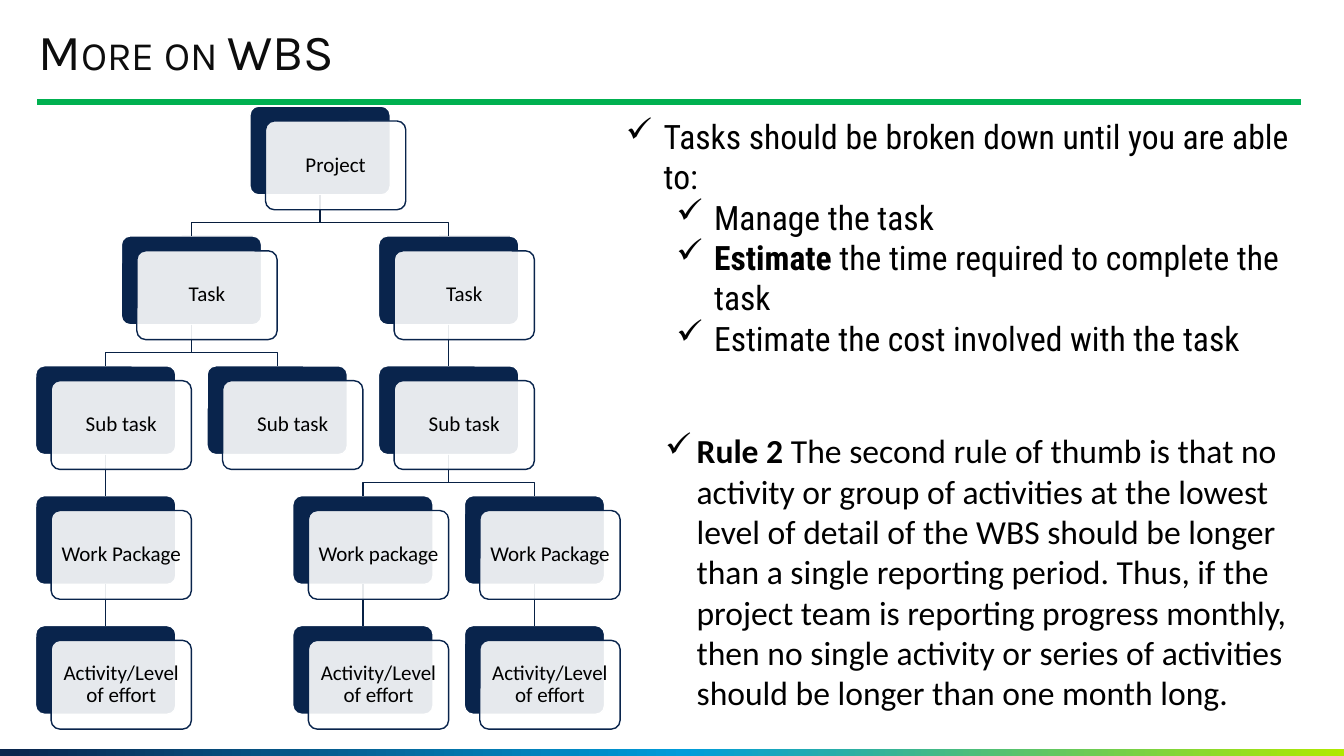
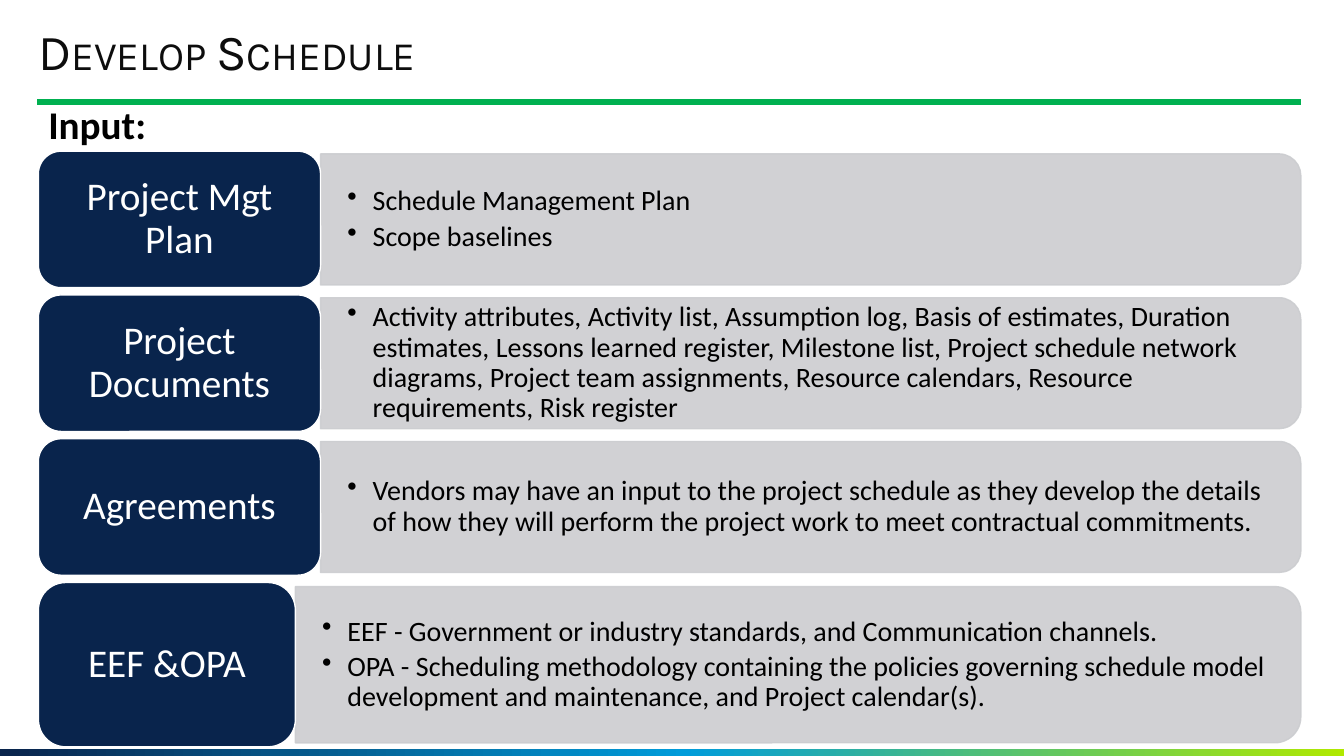
"""Build two project-scheduling slides: a work breakdown structure and schedule inputs."""
from copy import deepcopy
from dataclasses import dataclass

from lxml.etree import SubElement
from pptx import Presentation
from pptx.dml.color import RGBColor
from pptx.enum.shapes import MSO_CONNECTOR as CONN, MSO_SHAPE as SHAPE
from pptx.enum.text import MSO_ANCHOR as ANCHOR, PP_ALIGN as ALIGN
from pptx.oxml.ns import qn
from pptx.util import Pt


@dataclass(frozen=True)
class Theme:
    navy: str = "09244C"
    blue: str = "009CDA"
    lime: str = "B0E900"
    green: str = "00B050"
    grey: str = "CCCDD0"
    white: str = "FFFFFF"
    black: str = "000000"
    title_ink: str = "0D0D0D"
    top_link: str = "071D3D"
    link: str = "082145"
    title_font: str = "Karla"
    body_font: str = "Calibri"
    list_font: str = "Roboto Condensed"
    title: int = 36
    heading: int = 28
    text: int = 24
    detail: int = 20
    node: int = 15


T = Theme()
WIDTH, HEIGHT = 960, 540
LEFT, RIGHT = 27.4, 929.2

NODES = [
    ("Project", 0, 2.5, None),
    ("Task", 1, 1, 0),
    ("Task", 1, 4, 0),
    ("Sub task", 2, 0, 1),
    ("Sub task", 2, 2, 1),
    ("Sub task", 2, 4, 2),
    ("Work Package", 3, 0, 3),
    ("Work package", 3, 3, 5),
    ("Work Package", 3, 5, 5),
    ("Activity/Level of effort", 4, 0, 6),
    ("Activity/Level of effort", 4, 3, 7),
    ("Activity/Level of effort", 4, 5, 8),
]
TREE_X, TREE_Y, COL, ROW = 25.4, 75.8, 61.25, 92.75
BOX_W, BOX_H, SHIFT_X, SHIFT_Y, ELBOW = 100.2, 63.4, 11.1, 10.6, 19.8

TASK_RULES = [
    (0, [("Tasks should be broken down until you are able to:", False)]),
    (1, [("Manage the task", False)]),
    (1, [("Estimate", True), (" the time required to complete the task", False)]),
    (1, [("Estimate the cost involved with the task", False)]),
]
RULE_TWO = [
    (0, [("Rule 2", True),
         (" The second rule of thumb is that no activity or group of activities at the lowest "
          "level of detail of the WBS should be longer than a single reporting period. Thus, if "
          "the project team is reporting progress monthly, then no single activity or series of "
          "activities should be longer than one month long.", False)]),
]

INPUTS = [
    ("Project Mgt Plan", 201.6, 97.5, 93.6, ["Schedule Management Plan", "Scope baselines"]),
    ("Project Documents", 201.6, 97.5, 93.6, [
        "Activity attributes, Activity list, Assumption log, Basis of estimates, Duration "
        "estimates, Lessons learned register, Milestone list, Project schedule network diagrams, "
        "Project team assignments, Resource calendars, Resource requirements, Risk register"]),
    ("Agreements", 201.6, 97.5, 93.6, [
        "Vendors may have an input to the project schedule as they develop the details of how "
        "they will perform the project work to meet contractual commitments."]),
    ("EEF &OPA", 183.6, 117.4, 111.6, [
        "EEF - Government or industry standards, and Communication channels.",
        "OPA - Scheduling methodology containing the policies governing schedule model "
        "development and maintenance, and Project calendar(s)."]),
]
INPUT_Y, INPUT_PITCH = 108, 102.7


def rgb(color):
    return RGBColor.from_string(color)


def fade(sp, count):
    colors = list(sp._element.spPr.iter(qn("a:srgbClr")))
    for color in colors[:count]:
        SubElement(color, qn("a:alpha"), val="90000")


def add_shape(slide, kind, x, y, w, h, fill, line, adj=None):
    sp = slide.shapes.add_shape(kind, Pt(x), Pt(y), Pt(w), Pt(h))
    sp.shadow.inherit = False
    sp.fill.solid()
    sp.fill.fore_color.rgb = rgb(fill)
    sp.line.color.rgb = rgb(line)
    sp.line.width = Pt(1)
    if adj is not None:
        sp.adjustments[0] = adj
    return sp


def frame(sp, insets=(7.2, 3.6), anchor=ANCHOR.TOP):
    tf = sp.text_frame
    tf.word_wrap = True
    tf.vertical_anchor = anchor
    tf.margin_left = tf.margin_right = Pt(insets[0])
    tf.margin_top = tf.margin_bottom = Pt(insets[1])
    return tf


def add_box(slide, x, y, w, h, **options):
    return frame(slide.shapes.add_textbox(Pt(x), Pt(y), Pt(w), Pt(h)), **options)


def style(p, font, size, color=T.black, bold=False):
    for r in p.runs:
        r.font.name, r.font.size, r.font.bold = font, Pt(size), bold
        r.font.color.rgb = rgb(color)


def write(tf, text, font, size, color=T.black, bold=False, align=ALIGN.LEFT):
    tf.text = text
    p = tf.paragraphs[0]
    p.alignment = align
    p.line_spacing = 0.9
    style(p, font, size, color, bold)
    return p


def bullet(p, char, indent, hang):
    pPr = p._p.get_or_add_pPr()
    pPr.set("marL", str(Pt(indent)))
    pPr.set("indent", str(-Pt(hang)))
    SubElement(pPr, qn("a:buChar"), char=char)


def paragraphs(tf, items):
    for i, item in enumerate(items):
        yield (tf.add_paragraph() if i else tf.paragraphs[0]), item


def write_checks(tf, items, font, hang):
    for p, (level, runs) in paragraphs(tf, items):
        p.level = level
        bullet(p, "✓", hang + 36 * level, hang)
        for text, bold in runs:
            r = p.add_run()
            r.text = text
            r.font.name, r.font.size, r.font.bold = font, Pt(T.text), bold
            r.font.color.rgb = rgb(T.black)


def no_shadow(cx):
    SubElement(cx._element.spPr, qn("a:effectLst"))


def add_slide(prs, title):
    slide = prs.slides.add_slide(prs.slide_layouts[6])
    band = add_shape(slide, SHAPE.RECTANGLE, 0, 535, WIDTH, 5, T.navy, T.navy)
    band.line.fill.background()
    band.fill.gradient()
    band.fill.gradient_angle = 0
    first = band._element.spPr.find(".//" + qn("a:gs"))
    first.addnext(deepcopy(first))
    stops = [(0, T.navy), (0.51, T.blue), (1, T.lime)]
    for stop, (position, color) in zip(band.fill.gradient_stops, stops):
        stop.position = position
        stop.color.rgb = rgb(color)
    rule = slide.shapes.add_connector(CONN.STRAIGHT, Pt(26.6), Pt(72.7), Pt(RIGHT), Pt(72.7))
    rule.line.color.rgb = rgb(T.green)
    rule.line.width = Pt(4.5)
    no_shadow(rule)
    tf = add_box(slide, LEFT, 19.4, 805.7, 39.6, insets=(0, 0))
    p = write(tf, title, T.title_font, T.title, T.title_ink)
    p.runs[0].font._element.set("cap", "small")
    return slide


def link(slide, parent, child, color):
    x1, y1 = parent.left + parent.width // 2, parent.top + parent.height
    x2, y2 = child.left + child.width // 2, child.top
    if x1 == x2:
        sp = slide.shapes.add_connector(CONN.STRAIGHT, x1, y1, x2, y2)
        sp.begin_connect(parent, 2)
        sp.end_connect(child, 0)
        no_shadow(sp)
    else:
        bend = y1 + Pt(ELBOW)
        path = slide.shapes.build_freeform(x1, y1)
        path.add_line_segments([(x1, bend), (x2, bend), (x2, y2)], close=False)
        sp = path.convert_to_shape()
        sp.fill.background()
        sp.shadow.inherit = False
    sp.line.color.rgb = rgb(color)
    sp.line.width = Pt(1)


def build_wbs(prs):
    slide = add_slide(prs, "More on WBS")
    places = [(TREE_X + col * COL, TREE_Y + row * ROW) for _, row, col, _ in NODES]
    backs = [add_shape(slide, SHAPE.ROUNDED_RECTANGLE, x, y, BOX_W, BOX_H, T.navy, T.white, 0.1)
             for x, y in places]
    for back, (_, row, _, parent) in zip(backs, NODES):
        if parent is not None:
            link(slide, backs[parent], back, T.top_link if row == 1 else T.link)
    for (x, y), (label, *_) in zip(places, NODES):
        card = add_shape(slide, SHAPE.ROUNDED_RECTANGLE, x + SHIFT_X, y + SHIFT_Y,
                         BOX_W, BOX_H, T.white, T.navy, 0.1)
        fade(card, 1)
        tf = frame(card, insets=(4.5, 4.5), anchor=ANCHOR.MIDDLE)
        write(tf, label, T.body_font, T.node, align=ALIGN.CENTER)
    write_checks(add_box(slide, 440, 79.2, 491.8, 239.8), TASK_RULES, T.list_font, 27)
    write_checks(add_box(slide, 468, 303.8, 474.5, 211), RULE_TWO, T.body_font, 22.5)


def build_inputs(prs):
    slide = add_slide(prs, "Develop Schedule")
    tf = add_box(slide, LEFT, 72, 902.2, 39.6)
    write(tf, "Input:", T.body_font, T.heading, bold=True)
    for i, (label, head_w, head_h, bar_h, details) in enumerate(INPUTS):
        y = INPUT_Y + i * INPUT_PITCH
        x, mid = LEFT + head_w, y + head_h / 2
        bar_w = RIGHT - x
        bar = add_shape(slide, SHAPE.ROUND_2_SAME_RECTANGLE, x + (bar_w - bar_h) / 2,
                        mid - bar_w / 2, bar_h, bar_w, T.grey, T.grey)
        bar.rotation = 90
        fade(bar, 2)
        tf = add_box(slide, x, mid - bar_h / 2, bar_w - 4.6, bar_h,
                     insets=(19.2, 9.6), anchor=ANCHOR.MIDDLE)
        for p, text in paragraphs(tf, details):
            p.text = text
            bullet(p, "•", 18, 18)
            p.line_spacing = 0.9
            p.space_after = Pt(3.6)
            style(p, T.body_font, T.detail)
        head = add_shape(slide, SHAPE.ROUNDED_RECTANGLE, LEFT, y, head_w, head_h, T.navy, T.white)
        tf = frame(head, insets=(8.4, 4.2), anchor=ANCHOR.MIDDLE)
        write(tf, label, T.body_font, T.heading, T.white, align=ALIGN.CENTER)


def main():
    prs = Presentation()
    prs.slide_width, prs.slide_height = Pt(WIDTH), Pt(HEIGHT)
    build_wbs(prs)
    build_inputs(prs)
    prs.save("out.pptx")


if __name__ == "__main__":
    main()
